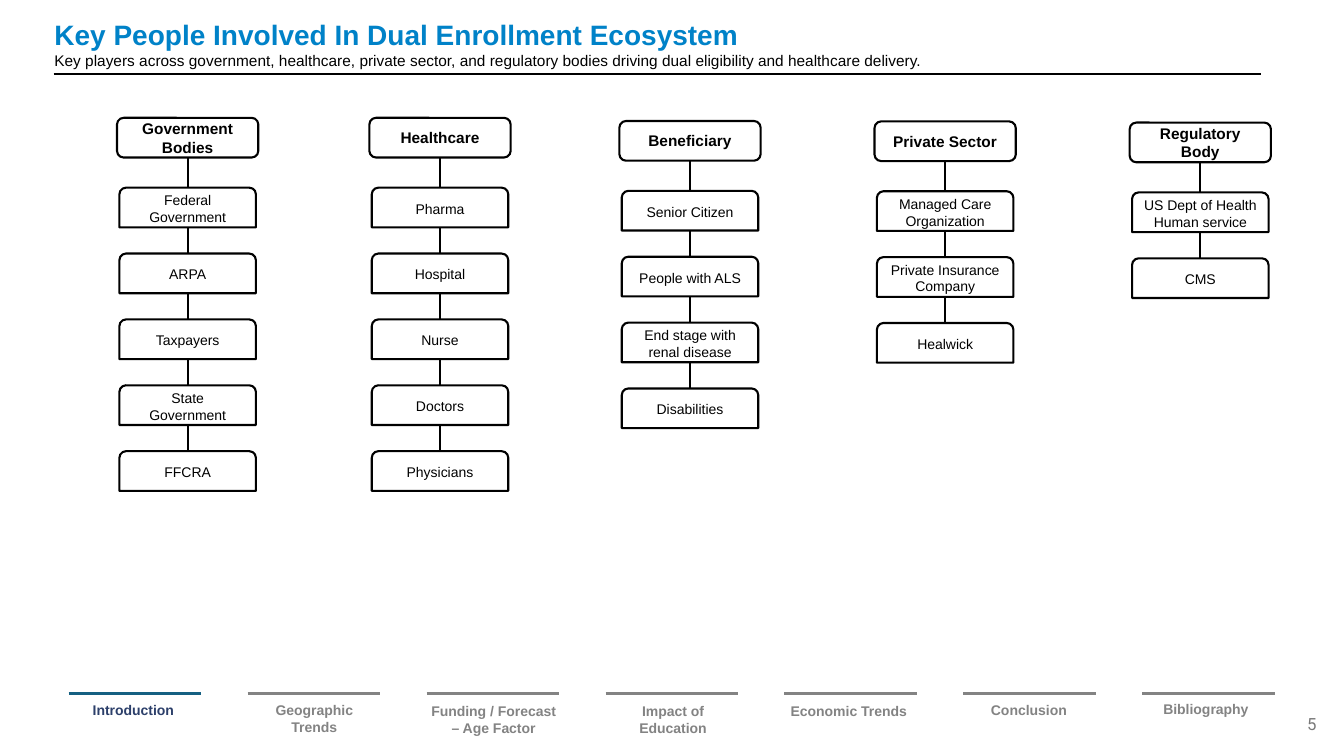
"""Build the slide on the key people in the dual enrollment ecosystem."""
from lxml import etree
from pptx import Presentation
from pptx.dml.color import RGBColor
from pptx.enum.shapes import MSO_CONNECTOR, MSO_SHAPE
from pptx.enum.text import MSO_ANCHOR, MSO_AUTO_SIZE, PP_ALIGN
from pptx.oxml.ns import qn
from pptx.util import Cm, Pt

BLACK = RGBColor(0x00, 0x00, 0x00)
WHITE = RGBColor(0xFF, 0xFF, 0xFF)
BLUE = RGBColor(0x00, 0x82, 0xC8)
TEAL = RGBColor(0x15, 0x60, 0x82)
NAVY = RGBColor(0x2C, 0x3F, 0x6A)
GREY = RGBColor(0x83, 0x83, 0x83)
PAGE_GREY = RGBColor(0x79, 0x79, 0x79)

HEAD_W, ITEM_W, BOX_H = 3.56, 3.44, 1.0
FIRST_STEP, STEP = 1.76, 1.66
COLUMNS = [
    (2.95, 2.97, "Government Bodies",
     ["Federal\nGovernment", "ARPA", "Taxpayers", "State Government", "FFCRA"]),
    (9.31, 2.97, "Healthcare",
     ["Pharma", "Hospital", "Nurse", "Doctors", "Physicians"]),
    (15.61, 3.05, "Beneficiary",
     ["Senior Citizen", "People with ALS", "End stage with renal disease",
      "Disabilities"]),
    (22.04, 3.06, "Private Sector",
     ["Managed Care Organization", "Private Insurance Company", "Healwick"]),
    (28.47, 3.09, "Regulatory Body",
     ["US Dept of Health Human service", "CMS"]),
]

TAB_LEFT, TAB_STEP, TAB_W, TAB_Y = 1.73, 4.51, 3.33, 17.48
TABS = [
    ("Introduction", 3.36, 17.67, 2.75),
    ("Geographic Trends", 7.92, 17.67, 2.75),
    ("Funding / Forecast – Age Factor", 12.44, 17.7, 3.33),
    ("Impact of Education", 16.96, 17.7, 2.75),
    ("Economic Trends", 21.39, 17.7, 3.33),
    ("Conclusion", 25.93, 17.67, 2.75),
    ("Bibliography", 30.39, 17.64, 2.75),
]


def add_line(x1, y1, x2, y2, color=BLACK, width=1.5):
    line = s.shapes.add_connector(
        MSO_CONNECTOR.STRAIGHT, Cm(x1), Cm(y1), Cm(x2), Cm(y2))
    line.line.color.rgb = color
    line.line.width = Pt(width)
    etree.SubElement(line._element.spPr, qn("a:effectLst"))


def style_text(p, size, color=BLACK, bold=False, align=PP_ALIGN.CENTER, font="Arial"):
    p.alignment = align
    for r in p.runs:
        r.font.name = font
        r.font.size = Pt(size)
        r.font.bold = bold
        r.font.color.rgb = color


prs = Presentation()
prs.slide_width, prs.slide_height = Cm(33.87), Cm(19.05)
s = prs.slides.add_slide(prs.slide_layouts[5])

title = s.shapes.title
title.left, title.top, title.width, title.height = Cm(1.37), Cm(0.3), Cm(27.36), Cm(1.42)
tf = title.text_frame
tf.text = ("Key People Involved In Dual Enrollment Ecosystem\n"
           "Key players across government, healthcare, private sector, and "
           "regulatory bodies driving dual eligibility and healthcare delivery.")
tf.auto_size = MSO_AUTO_SIZE.NONE
tf.vertical_anchor = MSO_ANCHOR.MIDDLE
tf.margin_left = tf.margin_right = tf.margin_bottom = 0
tf.margin_top = Cm(0.16)
style_text(tf.paragraphs[0], 20, BLUE, True, PP_ALIGN.LEFT)
style_text(tf.paragraphs[1], 11, align=PP_ALIGN.LEFT)
add_line(1.35, 1.86, 31.78, 1.86)

for left, top, head, items in COLUMNS:
    center = left + HEAD_W / 2
    for i, text in enumerate([head] + items):
        is_head = i == 0
        kind = MSO_SHAPE.ROUNDED_RECTANGLE if is_head else MSO_SHAPE.ROUND_2_SAME_RECTANGLE
        width = HEAD_W if is_head else ITEM_W
        y = top if is_head else top + FIRST_STEP + (i - 1) * STEP
        if not is_head:
            add_line(center, bottom, center, y)
        bottom = y + BOX_H
        box = s.shapes.add_shape(
            kind, Cm(center - width / 2), Cm(y), Cm(width), Cm(BOX_H))
        box.shadow.inherit = False
        box.fill.solid()
        box.fill.fore_color.rgb = WHITE
        box.line.color.rgb = BLACK
        box.line.width = Pt(1.5)
        tf = box.text_frame
        tf.text = text
        tf.word_wrap = True
        tf.vertical_anchor = MSO_ANCHOR.MIDDLE
        for p in tf.paragraphs:
            style_text(p, 11 if is_head else 10, bold=is_head)

for i, (text, center, top, width) in enumerate(TABS):
    x = TAB_LEFT + i * TAB_STEP
    add_line(x, TAB_Y, x + TAB_W, TAB_Y, GREY if i else TEAL, 2)
    label = s.shapes.add_textbox(Cm(center - width / 2), Cm(top), Cm(width), Cm(0.45))
    tf = label.text_frame
    tf.text = text
    tf.word_wrap = True
    tf.margin_left = tf.margin_right = tf.margin_top = tf.margin_bottom = 0
    style_text(tf.paragraphs[0], 10, GREY if i else NAVY, True)

number = s.shapes.add_textbox(Cm(25.81), Cm(17.73), Cm(7.62), Cm(1.02))
tf = number.text_frame
tf.text = "5"
tf.word_wrap = True
tf.vertical_anchor = MSO_ANCHOR.MIDDLE
style_text(tf.paragraphs[0], 12, PAGE_GREY, align=PP_ALIGN.RIGHT, font="Roboto")

prs.save("out.pptx")
